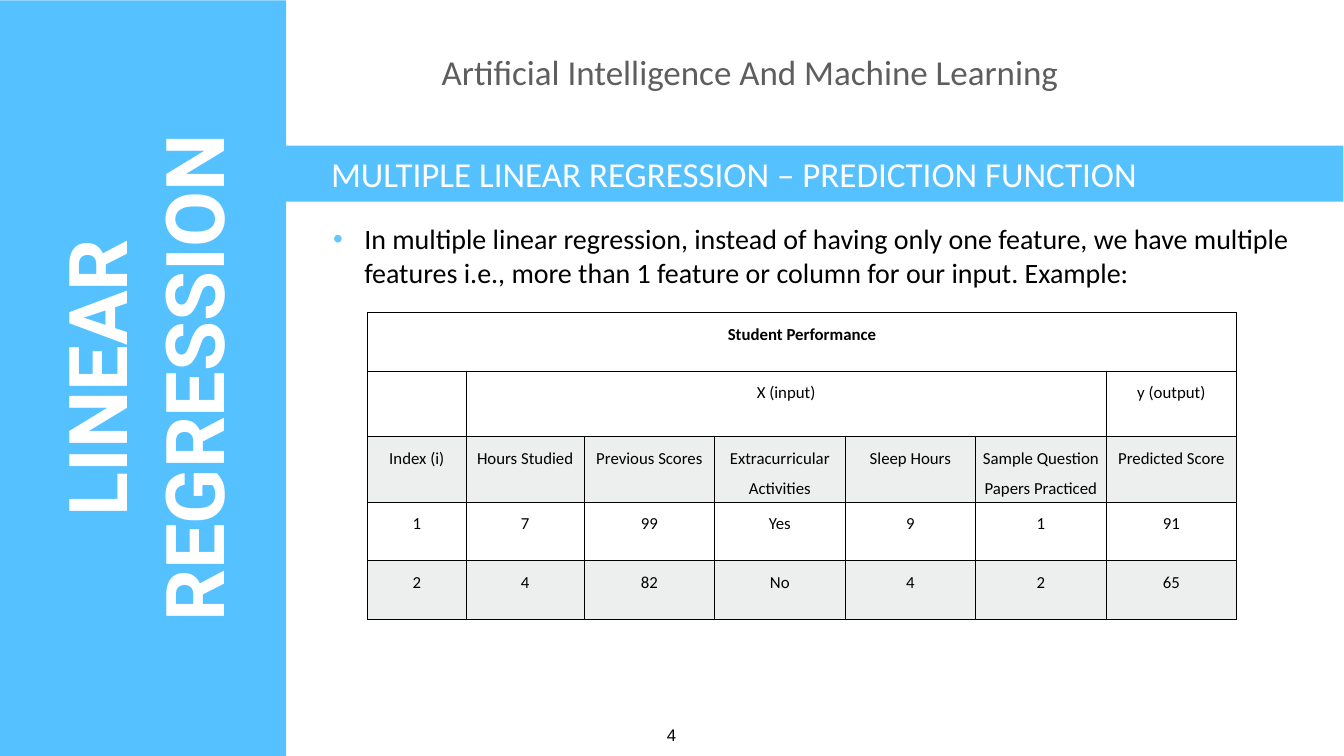
from dataclasses import dataclass

from pptx import Presentation
from pptx.dml.color import RGBColor
from pptx.enum.shapes import MSO_SHAPE
from pptx.enum.text import MSO_ANCHOR, MSO_AUTO_SIZE, PP_ALIGN
from pptx.oxml import parse_xml
from pptx.oxml.ns import nsdecls
from pptx.util import Emu, Pt

EMU_PER_PX = 9144


@dataclass(frozen=True)
class Theme:
    accent: str = "56C1FF"
    bullet: str = "66C7FF"
    white: str = "FFFFFF"
    black: str = "000000"
    grey: str = "5E5E5E"
    stripe: str = "EDEEEE"
    heading_font: str = "Roboto"
    body_font: str = "Calibri"
    number_font: str = "Arial"
    title_size: int = 116
    heading_size: int = 50
    body_size: int = 40
    small_size: int = 24


def px(length):
    return Emu(length * EMU_PER_PX)


def write(frame, text, *, size, color, font, bold=False, align=PP_ALIGN.LEFT,
          anchor=MSO_ANCHOR.TOP, spacing=1.0, inset=6):
    frame.word_wrap = True
    frame.vertical_anchor = anchor
    frame.margin_left = frame.margin_right = px(inset)
    frame.margin_top = frame.margin_bottom = px(min(inset, 6))
    para = frame.paragraphs[0]
    para.alignment = align
    para.line_spacing = spacing
    para.space_before = Pt(0)
    span = para.add_run()
    span.text = text
    span.font.name = font
    span.font.size = Pt(size)
    span.font.bold = bold
    span.font.color.rgb = RGBColor.from_string(color)
    return para


class SlideBuilder:
    def __init__(self, page, theme):
        self.page = page
        self.theme = theme

    def place(self, shape, left, top, width, height):
        shape.left, shape.top = px(left), px(top)
        shape.width, shape.height = px(width), px(height)

    def panel(self, *bounds):
        panel = self.page.shapes.add_shape(MSO_SHAPE.RECTANGLE, *map(px, bounds))
        panel.shadow.inherit = False
        panel.fill.solid()
        panel.fill.fore_color.rgb = RGBColor.from_string(self.theme.accent)
        panel.line.fill.background()

    def side_title(self, text, *bounds):
        title = self.page.shapes.title
        self.place(title, *bounds)
        title.rotation = 270
        title.text_frame.auto_size = MSO_AUTO_SIZE.NONE
        write(title.text_frame, text, size=self.theme.title_size, color=self.theme.white,
              font=self.theme.heading_font, bold=True, align=PP_ALIGN.CENTER,
              anchor=MSO_ANCHOR.MIDDLE)
        self.page.shapes._spTree.append(title._element)

    def bullet(self, text, *bounds, indent=62):
        body = self.page.placeholders[1]
        self.place(body, *bounds)
        body.text_frame.auto_size = MSO_AUTO_SIZE.NONE
        para = write(body.text_frame, text, size=self.theme.body_size, color=self.theme.black,
                     font=self.theme.body_font, inset=10)
        properties = para._p.get_or_add_pPr()
        properties.set("marL", str(px(indent)))
        properties.set("indent", str(-px(indent)))
        properties.append(parse_xml(
            f'<a:buClr {nsdecls("a")}><a:srgbClr val="{self.theme.bullet}"/></a:buClr>'))
        properties.append(parse_xml(f'<a:buChar {nsdecls("a")} char="•"/>'))

    def label(self, text, *bounds, **style):
        box = self.page.shapes.add_textbox(*map(px, bounds))
        write(box.text_frame, text, **style)

    def border(self, cell):
        properties = cell._tc.get_or_add_tcPr()
        for side in "LRTB":
            properties.append(parse_xml(
                f'<a:ln{side} {nsdecls("a")} w="{Pt(1)}"><a:solidFill>'
                f'<a:srgbClr val="{self.theme.black}"/></a:solidFill></a:ln{side}>'))

    def cell(self, cell, text, fill, bold):
        self.border(cell)
        cell.fill.solid()
        cell.fill.fore_color.rgb = RGBColor.from_string(fill)
        cell.margin_left = cell.margin_right = px(4)
        cell.margin_top = cell.margin_bottom = px(3)
        if text:
            write(cell.text_frame, text, size=self.theme.small_size, color=self.theme.black,
                  font=self.theme.body_font, bold=bold, align=PP_ALIGN.CENTER,
                  spacing=1.5, inset=4)

    def table(self, rows, left, top, widths, heights, merges, striped):
        table = self.page.shapes.add_table(
            len(rows), len(widths), px(left), px(top), px(sum(widths)), px(sum(heights))).table
        table.first_row = table.horz_banding = False
        for column, width in zip(table.columns, widths):
            column.width = px(width)
        for row, height in zip(table.rows, heights):
            row.height = px(height)
        for row, first, last in merges:
            table.cell(row, first).merge(table.cell(row, last))
        for i, row in enumerate(rows):
            fill = self.theme.stripe if i in striped else self.theme.white
            for j, text in enumerate(row):
                self.cell(table.cell(i, j), text, fill, bold=i == 0)


def main():
    deck = Presentation()
    deck.slide_width, deck.slide_height = px(2667), px(1500)
    theme = Theme()
    builder = SlideBuilder(deck.slides.add_slide(deck.slide_layouts[1]), theme)

    builder.panel(0, 1, 568, 1499)
    builder.side_title("LINEAR REGRESSION", -266, 496, 1101, 508)
    builder.label("Artificial Intelligence And Machine Learning", 743, 2, 1492, 279,
                  size=theme.heading_size, color=theme.grey, font=theme.body_font,
                  align=PP_ALIGN.CENTER, anchor=MSO_ANCHOR.MIDDLE)
    builder.panel(554, 289, 2112, 111)
    builder.label("MULTIPLE LINEAR REGRESSION – PREDICTION FUNCTION", 651, 296, 1633, 95,
                  size=theme.heading_size, color=theme.white, font=theme.body_font,
                  anchor=MSO_ANCHOR.MIDDLE)
    builder.label("4", 1317, 1431, 31, 50, size=theme.small_size, color=theme.black,
                  font=theme.number_font, align=PP_ALIGN.CENTER)
    builder.bullet("In multiple linear regression, instead of having only one feature, we have "
                   "multiple features i.e., more than 1 feature or column for our input. Example:",
                   651, 434, 1986, 240)
    rows = [
        ["Student Performance"] + [""] * 6,
        ["", "X (input)", "", "", "", "", "y (output)"],
        ["Index (i)", "Hours Studied", "Previous Scores", "Extracurricular Activities",
         "Sleep Hours", "Sample Question Papers Practiced", "Predicted Score"],
        ["1", "7", "99", "Yes", "9", "1", "91"],
        ["2", "4", "82", "No", "4", "2", "65"],
    ]
    builder.table(rows, 729, 620, widths=[196, 234] + [259] * 5,
                  heights=[116, 130, 130, 116, 116],
                  merges=[(0, 0, 6), (1, 1, 5)], striped={2, 4})
    deck.save("out.pptx")


if __name__ == "__main__":
    main()
